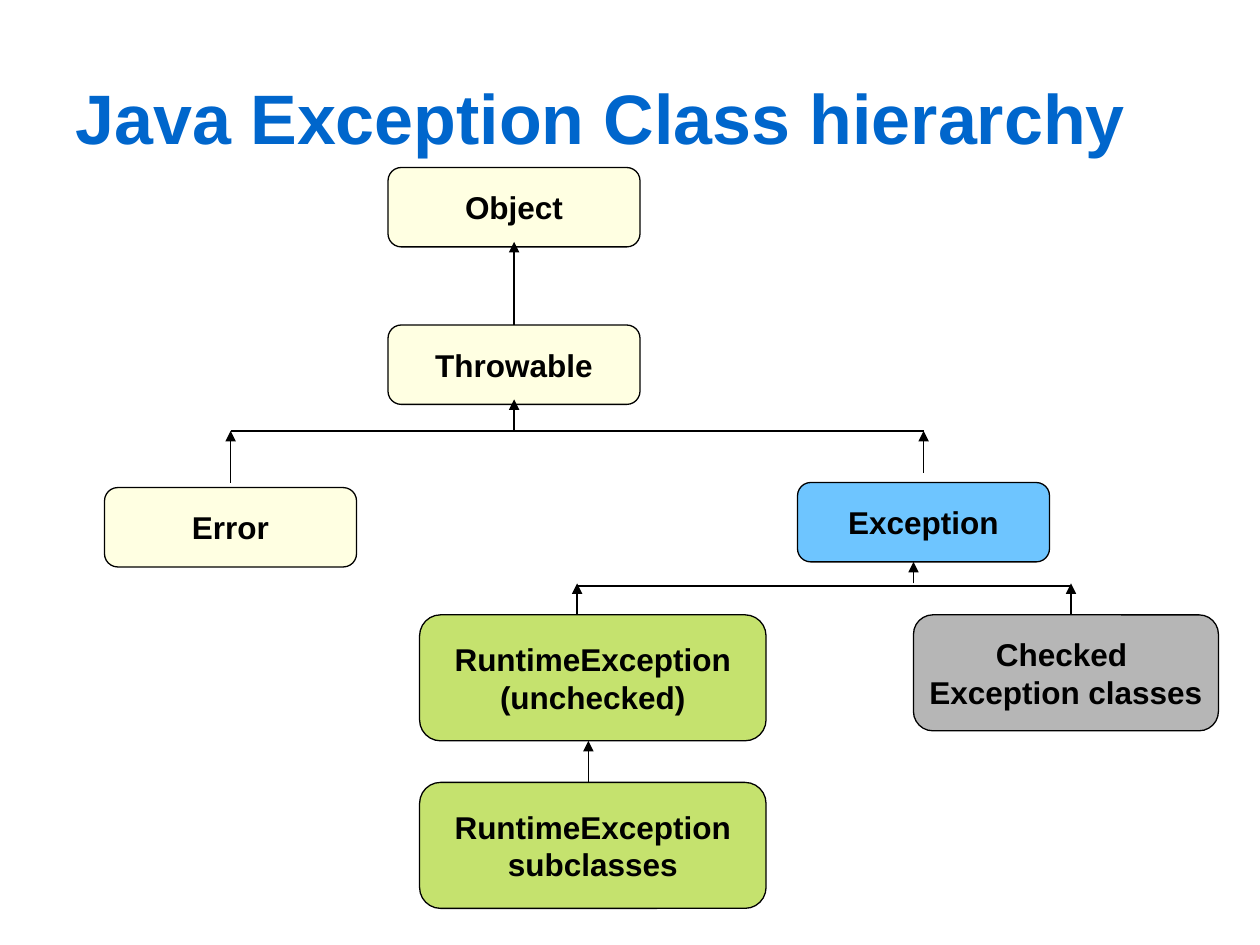
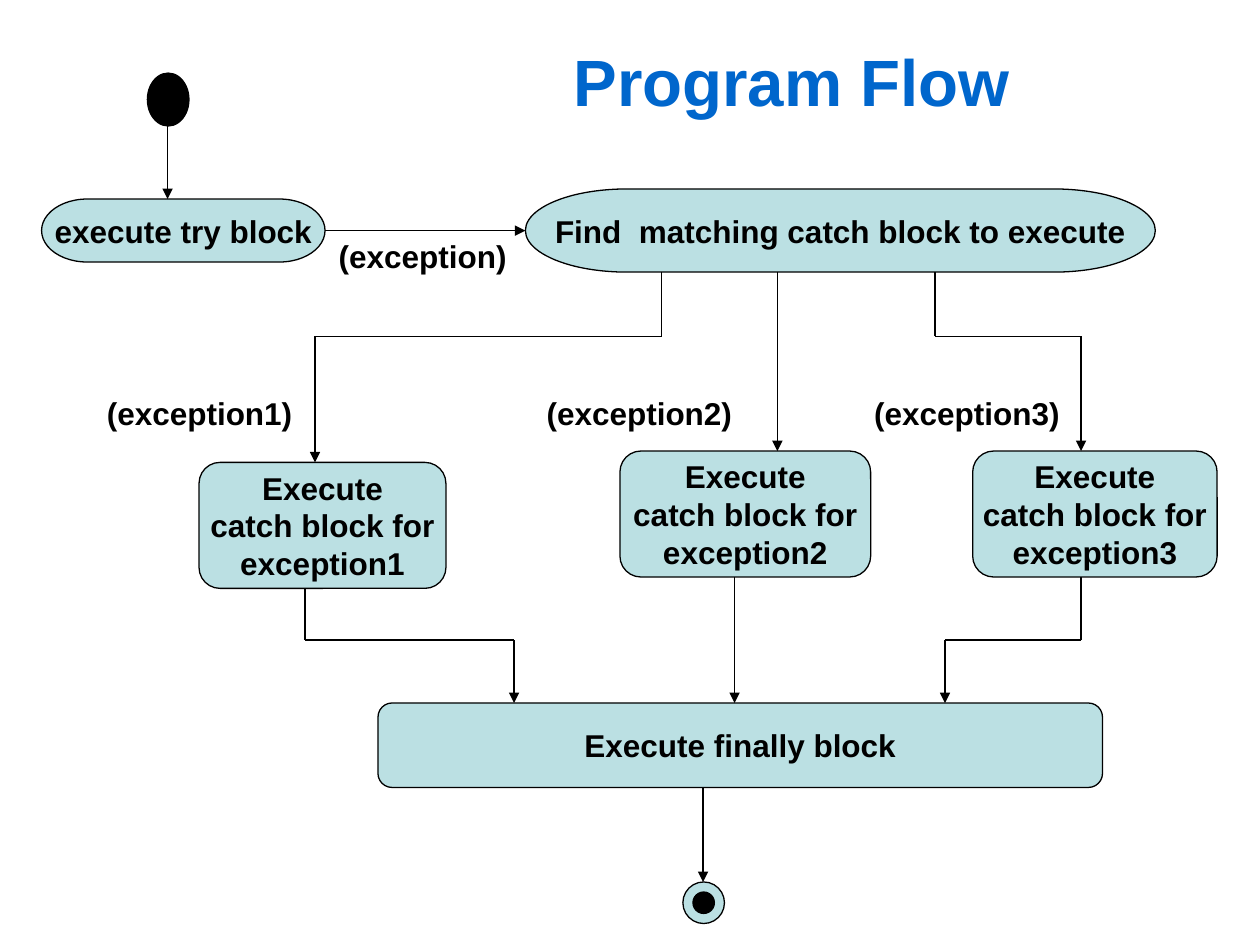
"""Build two slides: the Java exception class tree and the flow of try, catch and finally."""
from dataclasses import dataclass
from itertools import pairwise

from lxml.etree import SubElement
from pptx import Presentation
from pptx.dml.color import RGBColor
from pptx.enum.shapes import MSO_CONNECTOR, MSO_SHAPE
from pptx.enum.text import MSO_ANCHOR, MSO_AUTO_SIZE, PP_ALIGN
from pptx.oxml.ns import qn
from pptx.util import Inches, Pt


@dataclass(frozen=True)
class Theme:
    font: str = "Arial"
    title: str = "0066CC"
    ink: str = "000000"
    cream: str = "FFFFCC"
    blue: str = "0099FF"
    green: str = "99CC00"
    gray: str = "808080"
    teal: str = "BBE0E3"
    alpha: int = 57
    body: float = 18
    line: float = 0.75


THEME = Theme()
ROUND = MSO_SHAPE.ROUNDED_RECTANGLE
CARD = MSO_SHAPE.FLOWCHART_ALTERNATE_PROCESS
PILL = MSO_SHAPE.FLOWCHART_TERMINATOR
OVAL = MSO_SHAPE.OVAL

TREE_TITLE = ("Java Exception Class hierarchy", (0.5, 0.3, 9, 1.25), 40, PP_ALIGN.LEFT)
SMALL, LARGE = (2, 0.63), (2.75, 1)
CLASSES = [
    ("Object", (3.08, 1.33), SMALL, THEME.cream),
    ("Exception", (6.33, 3.83), SMALL, THEME.blue),
    ("Throwable", (3.08, 2.58), SMALL, THEME.cream),
    ("Checked \nException classes", (7.25, 4.88), (2.42, 0.92), THEME.gray),
    ("RuntimeException\n(unchecked)", (3.33, 4.88), LARGE, THEME.green),
    ("Error", (0.83, 3.87), SMALL, THEME.cream),
    ("RuntimeException\nsubclasses", (3.33, 6.21), LARGE, THEME.green),
]
RISES = [
    (4.08, 2.58, 1.92), (4.08, 3.42, 3.17), (1.83, 3.83, 3.42), (7.33, 3.75, 3.42),
    (4.58, 4.88, 4.63), (8.5, 4.88, 4.63), (7.25, 4.63, 4.46), (4.67, 6.21, 5.88),
]
BARS = [(1.83, 7.33, 3.42), (4.59, 8.49, 4.65)]

FLOW_TITLE = ("Program Flow", (4, 0.25, 4.57, 0.77), 37.4, PP_ALIGN.CENTER)
STEPS = [
    ("execute try block", (0.33, 1.58, 2.25, 0.5), PILL),
    ("Find  matching catch block to execute", (4.17, 1.5, 5, 0.66), PILL),
    ("Execute finally block", (3, 5.58, 5.75, 0.67), ROUND),
]
DOTS = [
    ((5.42, 7, 0.33, 0.33), THEME.teal),
    ((5.5, 7.08, 0.17, 0.17), THEME.ink),
    ((1.17, 0.58, 0.33, 0.42), THEME.ink),
]
FLOWS = [
    [(2.58, 1.83), (4.17, 1.83)],
    [(1.33, 1), (1.33, 1.58)],
    [(5.58, 6.25), (5.58, 7)],
]
CASES = [
    {"name": "exception1", "box": (1.58, 3.67, 1.96, 1), "tag": 0.75,
     "enter": (5.25, 2.5), "leave": (2.42, 4.08)},
    {"name": "exception2", "box": (4.92, 3.58, 1.99, 1), "tag": 4.24,
     "enter": (6.17, 6.17), "leave": (5.83, 5.83)},
    {"name": "exception3", "box": (7.72, 3.58, 1.94, 1), "tag": 6.84,
     "enter": (7.42, 8.58), "leave": (8.58, 7.5)},
]
FIND_END, FORK, MERGE, LAST_TOP = 2.16, 2.67, 5.08, 5.58


def tint(hue):
    return RGBColor.from_string(hue)


def write(frame, text, size=THEME.body, hue=THEME.ink, align=PP_ALIGN.CENTER,
          wrap=False, anchor=MSO_ANCHOR.MIDDLE, fit=MSO_AUTO_SIZE.NONE):
    frame.text = text
    frame.word_wrap = wrap
    frame.auto_size = fit
    frame.vertical_anchor = anchor
    for para in frame.paragraphs:
        para.alignment = align
        font = para.font
        font.name, font.size, font.bold = THEME.font, Pt(size), True
        font.color.rgb = tint(hue)


def label(slide, text, place, **style):
    box = slide.shapes.add_textbox(*map(Inches, place))
    write(box.text_frame, text, **style)


def head(slide, text, place, size, align):
    label(slide, text, place, size=size, hue=THEME.title, align=align, wrap=True)


def block(slide, kind, place, hue, text="", alpha=None):
    shape = slide.shapes.add_shape(kind, *map(Inches, place))
    shape.shadow.inherit = False
    shape.fill.solid()
    shape.fill.fore_color.rgb = tint(hue)
    shape.line.color.rgb = tint(THEME.ink)
    shape.line.width = Pt(THEME.line)
    if alpha:
        color = shape.element.spPr.find(qn("a:solidFill"))[0]
        SubElement(color, qn("a:alpha"), val=str(alpha * 1000))
    if text:
        write(shape.text_frame, text)
    return shape


def join(link, point, boxes):
    """Join an end of a line to any box with a side centred there."""
    x, y = map(Inches, point)
    for box in boxes:
        left, top, wide, high = box.left, box.top, box.width, box.height
        sides = [(left + wide / 2, top), (left, top + high / 2),
                 (left + wide / 2, top + high), (left + wide, top + high / 2)]
        for site, (a, b) in enumerate(sides):
            if max(abs(a - x), abs(b - y)) < Inches(0.01):
                link(box, site)


def wire(slide, points, boxes, arrow=True):
    for start, end in pairwise(points):
        line = slide.shapes.add_connector(MSO_CONNECTOR.STRAIGHT, *map(Inches, start + end))
        join(line.begin_connect, start, boxes)
        join(line.end_connect, end, boxes)
        line.line.color.rgb = tint(THEME.ink)
        line.line.width = Pt(THEME.line)
        props = line.element.spPr
        if arrow and end == points[-1]:
            SubElement(props.find(qn("a:ln")), qn("a:tailEnd"), type="triangle")
        SubElement(props, qn("a:effectLst"))


def route(ends, top, bend, base):
    start, end = ends
    turn = [] if start == end else [(start, bend), (end, bend)]
    return [(start, top), *turn, (end, base)]


def draw_tree(slide):
    head(slide, *TREE_TITLE)
    boxes = [block(slide, ROUND, spot + size, hue, text, THEME.alpha)
             for text, spot, size, hue in CLASSES]
    for x, low, high in RISES:
        wire(slide, [(x, low), (x, high)], boxes)
    for left, right, y in BARS:
        wire(slide, [(left, y), (right, y)], boxes, arrow=False)


def draw_flow(slide):
    head(slide, *FLOW_TITLE)
    boxes = [block(slide, kind, place, THEME.teal, text) for text, place, kind in STEPS]
    for place, hue in DOTS:
        block(slide, OVAL, place, hue)
    tags = [("exception", 2.59, 1.83, 1.56)]
    paths = list(FLOWS)
    for case in CASES:
        name, place = case["name"], case["box"]
        top, base = place[1], place[1] + place[3]
        boxes.append(block(slide, CARD, place, THEME.teal, f"Execute\ncatch block for\n{name}"))
        tags.append((name, case["tag"], 3.08, 1.67))
        paths.append(route(case["enter"], FIND_END, FORK, top))
        paths.append(route(case["leave"], base, MERGE, LAST_TOP))
    for name, left, top, wide in tags:
        label(slide, f"({name})", (left, top, wide, 0.4), align=PP_ALIGN.LEFT,
              anchor=MSO_ANCHOR.TOP, fit=MSO_AUTO_SIZE.SHAPE_TO_FIT_TEXT)
    for points in paths:
        wire(slide, points, boxes)


def main():
    deck = Presentation()
    deck.slide_width, deck.slide_height = Inches(10), Inches(7.5)
    for draw in (draw_tree, draw_flow):
        draw(deck.slides.add_slide(deck.slide_layouts[6]))
    deck.save("out.pptx")


if __name__ == "__main__":
    main()
